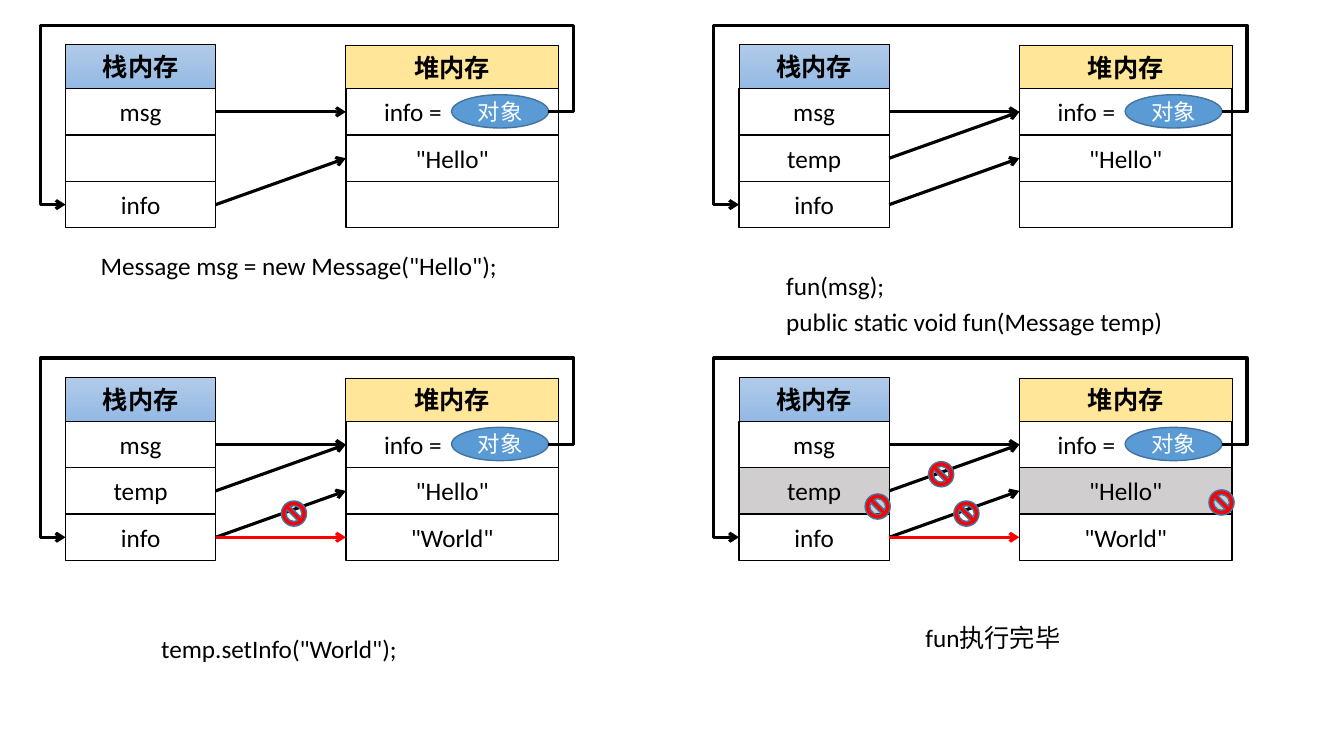
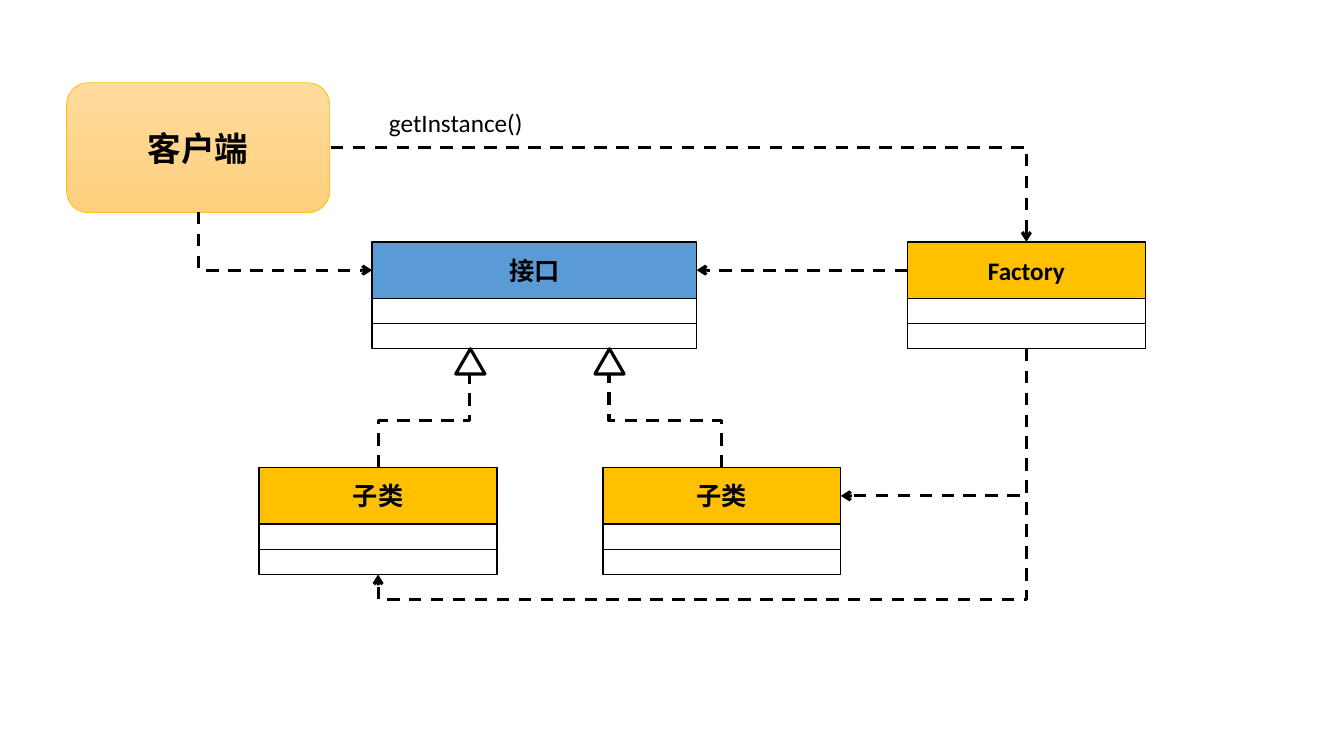
from lxml.etree import SubElement
from pptx import Presentation
from pptx.dml.color import RGBColor
from pptx.enum.dml import MSO_LINE
from pptx.enum.shapes import MSO_CONNECTOR, MSO_SHAPE
from pptx.enum.text import MSO_ANCHOR, PP_ALIGN
from pptx.oxml.ns import qn
from pptx.util import Pt

PX = 9144
FONT = "Calibri"
BLACK = RGBColor(0x00, 0x00, 0x00)
WHITE = RGBColor(0xFF, 0xFF, 0xFF)
RED = RGBColor(0xFF, 0x00, 0x00)
GRAY = RGBColor(0xD0, 0xCE, 0xCE)
BLUE = RGBColor(0x5B, 0x9B, 0xD5)
DARK_BLUE = RGBColor(0x43, 0x73, 0x9E)
LIGHT_YELLOW = RGBColor(0xFF, 0xE6, 0x99)
GOLD = RGBColor(0xFF, 0xC0, 0x00)
BLUE_GRADIENT = (RGBColor(0xB1, 0xCB, 0xE9), RGBColor(0x93, 0xB9, 0xE4))
GOLD_GRADIENT = (RGBColor(0xFF, 0xDB, 0x9E), RGBColor(0xFF, 0xD0, 0x7C))


def add_block(slide, kind, box, fill, text="", size=18, bold=False,
              color=BLACK, line=BLACK, line_width=1):
    shape = slide.shapes.add_shape(kind, *[value * PX for value in box])
    shape.shadow.inherit = False
    if isinstance(fill, RGBColor):
        shape.fill.solid()
        shape.fill.fore_color.rgb = fill
    else:
        shape.fill.gradient()
        shape.fill.gradient_angle = 270
        for stop, stop_color in zip(shape.fill.gradient_stops, fill):
            stop.color.rgb = stop_color
    shape.line.color.rgb = line
    shape.line.width = Pt(line_width)
    if text:
        frame = shape.text_frame
        frame.text = text
        frame.vertical_anchor = MSO_ANCHOR.MIDDLE
        paragraph = frame.paragraphs[0]
        paragraph.alignment = PP_ALIGN.CENTER
        font = paragraph.runs[0].font
        font.name, font.size, font.bold = FONT, Pt(size), bold
        font.color.rgb = color
    return shape


def add_link(slide, begin, end, preset="line", rotation=0, adjustments=(),
             color=BLACK, dashed=False, arrow=True):
    across, down = end[0] - begin[0], end[1] - begin[1]
    width, height = {0: (across, down), 90: (down, -across), 270: (-down, across)}[rotation]
    middle_x, middle_y = (begin[0] + end[0]) / 2, (begin[1] + end[1]) / 2
    corners = (middle_x - width / 2, middle_y - height / 2,
               middle_x + width / 2, middle_y + height / 2)
    connector = slide.shapes.add_connector(
        MSO_CONNECTOR.STRAIGHT, *[int(value * PX) for value in corners])
    connector.line.color.rgb = color
    connector.line.width = Pt(2.25)
    if dashed:
        connector.line.dash_style = MSO_LINE.DASH
    properties = connector._element.spPr
    if rotation:
        properties.find(qn("a:xfrm")).set("rot", str(rotation * 60000))
    geometry = properties.find(qn("a:prstGeom"))
    geometry.set("prst", preset)
    for number, value in enumerate(adjustments, 1):
        SubElement(geometry.find(qn("a:avLst")), qn("a:gd"),
                   name=f"adj{number}", fmla=f"val {value}")
    if arrow:
        SubElement(properties.find(qn("a:ln")), qn("a:tailEnd"), type="arrow")
    SubElement(properties, qn("a:effectLst"))
    return connector


presentation = Presentation()
presentation.slide_width = 1333 * PX
presentation.slide_height = 750 * PX
blank_layout = presentation.slide_layouts[6]
memory_slide = presentation.slides.add_slide(blank_layout)
factory_slide = presentation.slides.add_slide(blank_layout)

ROW_HEIGHT = 46
panels = [
    (65, 0, ("msg", "", "info"), ("info =", '"Hello"', ""), WHITE,
     [(0, 0, BLACK), (2, 1, BLACK)]),
    (733, 0, ("msg", "temp", "info"), ("info =", '"Hello"', ""), WHITE,
     [(0, 0, BLACK), (2, 1, BLACK), (1, 0, BLACK)]),
    (65, 330, ("msg", "temp", "info"), ("info =", '"Hello"', '"World"'), WHITE,
     [(0, 0, BLACK), (2, 1, BLACK), (2, 2, RED), (1, 0, BLACK)]),
    (733, 330, ("msg", "temp", "info"), ("info =", '"Hello"', '"World"'), GRAY,
     [(0, 0, BLACK), (2, 1, BLACK), (2, 2, RED), (1, 0, BLACK)]),
]
for left, top, stack_labels, heap_labels, middle_fill, links in panels:
    heap_left = left + 278
    add_block(memory_slide, MSO_SHAPE.RECTANGLE, (left, top + 44, 149, 44),
              BLUE_GRADIENT, "栈内存", bold=True, line_width=0.5)
    add_block(memory_slide, MSO_SHAPE.RECTANGLE, (heap_left, top + 45, 211, 43),
              LIGHT_YELLOW, "堆内存", bold=True, line_width=0.5)
    stack_rows, heap_rows = [], []
    for row, fill in enumerate((WHITE, middle_fill, WHITE)):
        row_top = top + 88 + row * ROW_HEIGHT
        stack_rows.append(add_block(
            memory_slide, MSO_SHAPE.RECTANGLE, (left, row_top, 149, ROW_HEIGHT),
            fill, stack_labels[row]))
        heap_rows.append(add_block(
            memory_slide, MSO_SHAPE.RECTANGLE, (heap_left, row_top, 211, ROW_HEIGHT),
            fill, heap_labels[row]))
    info_frame = heap_rows[0].text_frame
    info_frame.margin_left = 38 * PX
    info_frame.paragraphs[0].alignment = PP_ALIGN.LEFT
    add_block(memory_slide, MSO_SHAPE.OVAL, (left + 383, top + 94, 96, 33),
              BLUE, "对象", size=16, color=WHITE, line=DARK_BLUE)
    add_link(memory_slide, (left + 479, top + 111), (left, top + 203),
             "bentConnector5", adjustments=(-5200, -93300, 105200))
    for stack_row, heap_row, color in links:
        link = add_link(memory_slide, (left + 149, top), (heap_left, top), color=color)
        link.begin_connect(stack_rows[stack_row], 3)
        link.end_connect(heap_rows[heap_row], 1)

for left, top in [(279, 497), (946, 497), (858, 490), (1199, 486), (921, 458)]:
    add_block(memory_slide, MSO_SHAPE.NO_SYMBOL, (left, top, 25, 25), RED, line=DARK_BLUE)

class_blocks = []
for left, top, width, fill, name in [
    (369, 240, 322, BLUE, "接口"),
    (257, 464, 236, GOLD, "子类"),
    (598, 464, 236, GOLD, "子类"),
    (900, 240, 236, GOLD, "Factory"),
]:
    class_blocks.append(add_block(
        factory_slide, MSO_SHAPE.RECTANGLE, (left, top, width, 56), fill, name, bold=True))
    for row_top in (top + 56, top + 81):
        add_block(factory_slide, MSO_SHAPE.RECTANGLE, (left, row_top, width, 25), WHITE)
add_block(factory_slide, MSO_SHAPE.ROUNDED_RECTANGLE, (66, 82, 261, 129), GOLD_GRADIENT,
          "客户端", size=24, bold=True, line=GOLD, line_width=0.5)

interface_block, factory_block = class_blocks[0], class_blocks[3]
factory_link = add_link(factory_slide, (900, 268), (691, 268), dashed=True)
factory_link.begin_connect(factory_block, 1)
factory_link.end_connect(interface_block, 3)
for begin, end, preset, rotation, adjustments in [
    ((1018, 346), (375, 570), "bentConnector3", 90, (111200,)),
    ((1018, 346), (834, 492), "bentConnector2", 90, ()),
    ((328, 146), (1018, 240), "bentConnector2", 0, ()),
    ((197, 210), (369, 268), "bentConnector2", 270, ()),
]:
    add_link(factory_slide, begin, end, preset, rotation, adjustments, dashed=True)
for child_x, parent_x, rotation in [(375, 466, 90), (716, 604, 270)]:
    add_block(factory_slide, MSO_SHAPE.ISOSCELES_TRIANGLE, (parent_x - 14, 346, 29, 25),
              WHITE, line_width=2.25)
    add_link(factory_slide, (child_x, 464), (parent_x, 371), "bentConnector3", rotation,
             (50000,), dashed=True, arrow=False)

for slide, text, left, top, width in [
    (memory_slide, 'Message msg = new Message("Hello");', 90, 243, 430),
    (memory_slide, "fun(msg);", 770, 263, 140),
    (memory_slide, "public static void fun(Message temp)", 770, 299, 410),
    (memory_slide, 'temp.setInfo("World");', 150, 623, 270),
    (memory_slide, "fun执行完毕", 908, 612, 156),
    (factory_slide, "getInstance()", 376, 102, 170),
]:
    caption = slide.shapes.add_textbox(left * PX, top * PX, width * PX, 40 * PX)
    caption.text_frame.word_wrap = True
    caption.text_frame.text = text
    font = caption.text_frame.paragraphs[0].runs[0].font
    font.name, font.size = FONT, Pt(18)
    font.color.rgb = BLACK

presentation.save("out.pptx")
